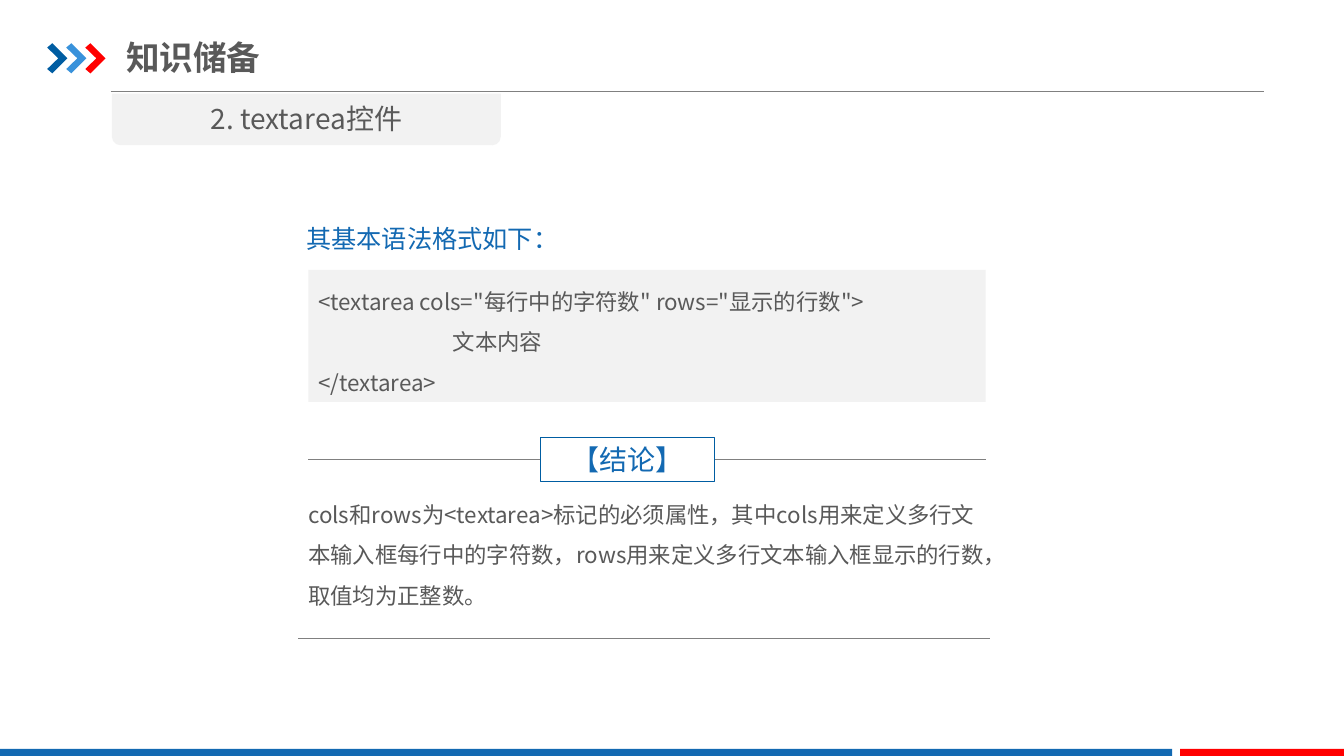
import pptx
import pptx.util
import pptx.dml.color
import pptx.enum.shapes
import pptx.enum.text
import lxml.etree
import pptx.oxml.ns

Cm = pptx.util.Cm
Pt = pptx.util.Pt
Shape = pptx.enum.shapes.MSO_SHAPE
Anchor = pptx.enum.text.MSO_ANCHOR
Align = pptx.enum.text.PP_ALIGN

FONT = "Noto Sans CJK SC"
GREY, BLUE, DARK_BLUE, RED = "595959", "1369B2", "005DA2", "FF0000"
RULE_GREY, PANEL, WHITE = "808080", "F2F2F2", "FFFFFF"


def colour(hex_value):
    """Turn a hex string into a colour."""
    return pptx.dml.color.RGBColor.from_string(hex_value)


def add_child(parent, tag, **attributes):
    """Append a DrawingML element with the given attributes."""
    child = lxml.etree.SubElement(parent, pptx.oxml.ns.qn(tag))
    for key, value in attributes.items():
        child.set(key, str(value))
    return child


def paint(shape, fill, line=None):
    """Give a shape its fill and outline, without a shadow."""
    shape.shadow.inherit = False
    shape.fill.solid()
    shape.fill.fore_color.rgb = colour(fill)
    if line:
        shape.line.color.rgb = colour(line)
        shape.line.width = Pt(0.75)
    else:
        shape.line.fill.background()


def add_block(slide, kind, left, top, width, height, fill, line=None):
    """Add a painted preset shape."""
    block = slide.shapes.add_shape(kind, Cm(left), Cm(top), Cm(width), Cm(height))
    paint(block, fill, line)
    return block


def add_rule(slide, left, right, y):
    """Add a thin horizontal grey line."""
    rule = slide.shapes.add_connector(
        pptx.enum.shapes.MSO_CONNECTOR.STRAIGHT, Cm(left), Cm(y), Cm(right), Cm(y))
    rule.line.color.rgb = colour(RULE_GREY)
    rule.line.width = Pt(0.75)
    add_child(rule._element.spPr, "a:effectLst")


def add_chevron(slide, left, fill):
    """Add one arrow of the title mark."""
    outline = [(0, 0.11), (0.13, 0), (0.51, 0.38), (0.13, 0.76), (0, 0.65), (0.28, 0.38)]
    points = [(Cm(left + x), Cm(1.09 + y)) for x, y in outline]
    builder = slide.shapes.build_freeform(*points[0])
    builder.add_line_segments(points[1:], close=True)
    paint(builder.convert_to_shape(), fill)


def write(shape, lines, size, hex_value, align=Align.LEFT, spacing=1.0,
          anchor=Anchor.TOP, bold=False, tab=None):
    """Fill a shape with evenly formatted lines of text."""
    frame = shape.text_frame
    frame.word_wrap = True
    frame.vertical_anchor = anchor
    frame.text = "\n".join(lines)
    for paragraph in frame.paragraphs:
        paragraph.alignment = align
        paragraph.line_spacing = spacing
        if tab:
            stops = add_child(paragraph._p.get_or_add_pPr(), "a:tabLst")
            add_child(stops, "a:tab", pos=Cm(tab), algn="l")
        for run in paragraph.runs:
            run.font.size = Pt(size)
            run.font.bold = bold
            run.font.color.rgb = colour(hex_value)
            run.font.name = FONT
            add_child(run._r.get_or_add_rPr(), "a:ea", typeface=FONT)


def add_text(slide, left, top, width, height, lines, size, hex_value, **style):
    """Add a text box."""
    box = slide.shapes.add_textbox(Cm(left), Cm(top), Cm(width), Cm(height))
    write(box, lines, size, hex_value, **style)
    return box


def add_frame(slide):
    """Add the header mark, title and footer bars."""
    add_rule(slide, 2.79, 31.85, 2.31)
    for index, fill in enumerate([DARK_BLUE, "3992DB", RED]):
        add_chevron(slide, 1.19 + 0.48 * index, fill)
    add_block(slide, Shape.RECTANGLE, 0, 18.87, 29.54, 0.22, BLUE)
    add_block(slide, Shape.RECTANGLE, 29.74, 18.87, 4.13, 0.22, RED)
    title = add_text(slide, 3.18, 0.74, 10.82, 1.4, ["知识储备"], 24, GREY,
                     anchor=Anchor.MIDDLE, bold=True)
    title.text_frame.margin_left = title.text_frame.margin_right = 0


def add_topic(slide):
    """Add the topic tab under the header line."""
    topic_tab = add_block(slide, Shape.ROUND_2_SAME_RECTANGLE, 2.82, 2.36, 9.8, 1.3, PANEL)
    topic_tab.rotation = 180
    add_text(slide, 2.82, 2.44, 9.8, 1.12, ["2. textarea控件"], 20, GREY, align=Align.CENTER)


def add_syntax(slide):
    """Add the syntax heading and code panel."""
    add_text(slide, 7.47, 5.13, 6.86, 1.27, ["其基本语法格式如下："], 18, BLUE, spacing=1.5)
    code = add_block(slide, Shape.RECTANGLE, 7.77, 6.8, 17.07, 3.33, PANEL)
    write(code, ['<textarea cols="每行中的字符数" rows="显示的行数">', "\t文本内容", "</textarea>"],
          16, GREY, spacing=1.5, tab=3.39)


def add_conclusion(slide):
    """Add the framed conclusion with its rules and text."""
    add_rule(slide, 7.77, 24.84, 11.58)
    label = add_block(slide, Shape.RECTANGLE, 13.61, 11.02, 4.39, 1.12, WHITE, DARK_BLUE)
    write(label, ["【结论】"], 20, BLUE, align=Align.CENTER)
    add_rule(slide, 7.52, 24.94, 16.08)
    add_text(slide, 7.52, 12.17, 17.58, 3.23,
             ["cols和rows为<textarea>标记的必须属性，其中cols用来定义多行文本输入框每行中的字符数，"
              "rows用来定义多行文本输入框显示的行数，取值均为正整数。"],
             16, GREY, spacing=1.5)


def main():
    """Build the slide and save it."""
    presentation = pptx.Presentation()
    presentation.slide_width = Cm(33.87)
    presentation.slide_height = Cm(19.05)
    slide = presentation.slides.add_slide(presentation.slide_layouts[6])
    add_frame(slide)
    add_topic(slide)
    add_syntax(slide)
    add_conclusion(slide)
    presentation.save("out.pptx")


if __name__ == "__main__":
    main()
